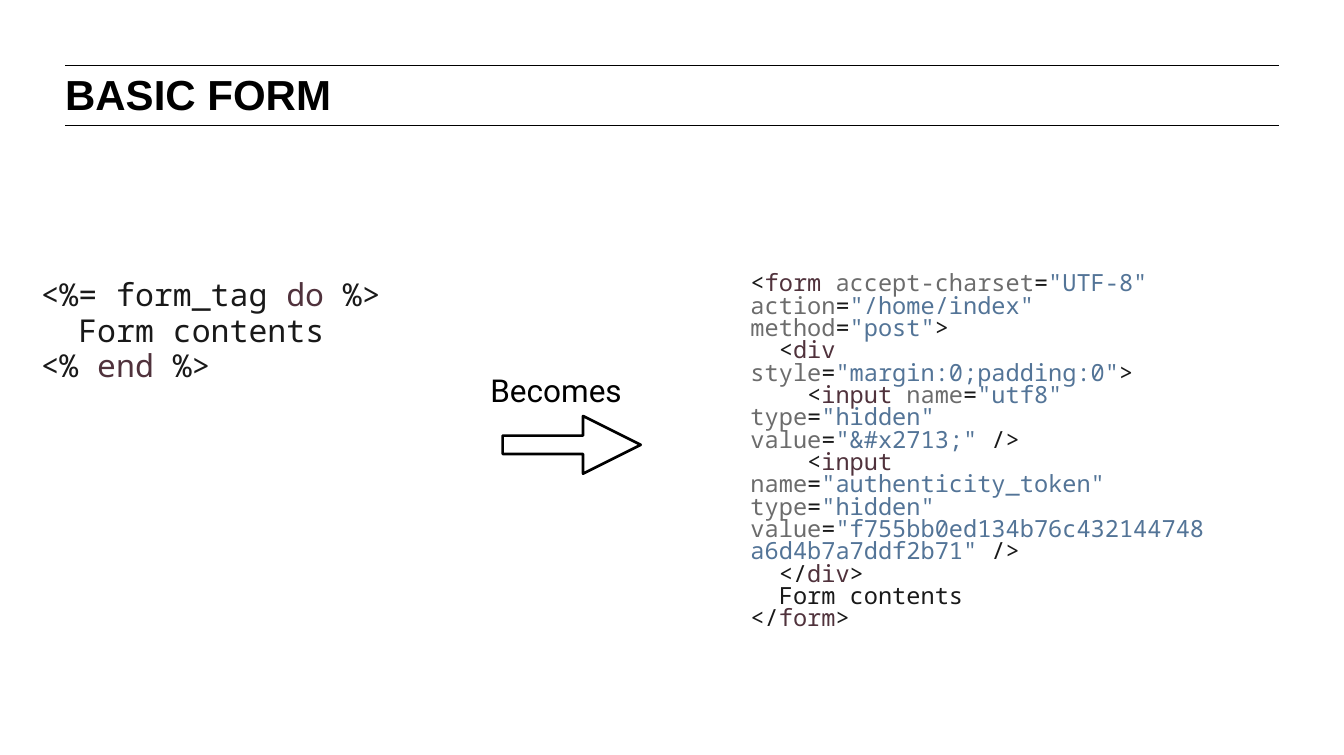
"""Build the "Basic form" slide: template code, an arrow and the markup it becomes."""
from lxml.etree import SubElement
from pptx import Presentation
from pptx.dml.color import RGBColor
from pptx.enum.shapes import MSO_CONNECTOR, MSO_SHAPE
from pptx.oxml.ns import qn
from pptx.util import Cm, Pt

COLORS = {
    "black": "000000",
    "plain": "191919",
    "keyword": "50323C",
    "attribute": "6C6C6C",
    "string": "537497",
}

TEMPLATE_CODE = [
    [("plain", "<%= form_tag "), ("keyword", "do "), ("plain", "%>")],
    [("plain", "  Form contents")],
    [("plain", "<% "), ("keyword", "end "), ("plain", "%>")],
]


def add_text(slide, position, lines, font_name, size, spacing=None, before=0, bold=False):
    """Add a text box whose lines are lists of (color, text) runs."""
    shape = slide.shapes.add_textbox(*(Cm(length) for length in position))
    frame = shape.text_frame
    frame.margin_left = frame.margin_right = frame.margin_top = frame.margin_bottom = 0
    frame.word_wrap = True
    for index, line in enumerate(lines):
        paragraph = frame.add_paragraph() if index else frame.paragraphs[0]
        if spacing:
            paragraph.line_spacing = Pt(spacing)
        paragraph.space_before = Pt(before if index else 0)
        paragraph.font.name = font_name
        paragraph.font.size = Pt(size)
        paragraph.font.bold = bold
        for color, text in line:
            run = paragraph.add_run()
            run.text = text
            run.font.color.rgb = RGBColor.from_string(COLORS[color])
    return shape


def tag_line(opening, name, attributes, closing):
    """Return the colored runs of one opening tag."""
    runs = [("plain", opening), ("keyword", name + " ")]
    for index, (attribute, value) in enumerate(attributes):
        gap = "" if closing == ">" and index == len(attributes) - 1 else " "
        runs += [("attribute", attribute), ("plain", "="), ("string", f'"{value}"{gap}')]
    return runs + [("plain", closing)]


MARKUP = [
    tag_line("<", "form", [("accept-charset", "UTF-8"), ("action", "/home/index"),
                           ("method", "post")], ">"),
    tag_line("  <", "div", [("style", "margin:0;padding:0")], ">"),
    tag_line("    <", "input", [("name", "utf8"), ("type", "hidden"),
                                ("value", "&#x2713;")], "/>"),
    tag_line("    <", "input", [("name", "authenticity_token"), ("type", "hidden"),
                                ("value", "f755bb0ed134b76c432144748a6d4b7a7ddf2b71")], "/>"),
    [("plain", "  </"), ("keyword", "div"), ("plain", ">")],
    [("plain", "  Form contents")],
    [("plain", "</"), ("keyword", "form"), ("plain", ">")],
]

presentation = Presentation()
presentation.slide_width = Cm(36.12)
presentation.slide_height = Cm(20.29)
slide = presentation.slides.add_slide(presentation.slide_layouts[6])

for rule_top in (1.75, 3.38):
    rule = slide.shapes.add_connector(
        MSO_CONNECTOR.STRAIGHT, Cm(1.75), Cm(rule_top), Cm(34.37), Cm(rule_top))
    rule.line.color.rgb = RGBColor.from_string(COLORS["black"])
    rule.line.width = Pt(0.5)
    SubElement(rule._element.spPr, qn("a:effectLst"))

add_text(slide, (1.75, 2.06, 21.44, 1.19), [[("black", "BASIC FORM")]],
         "Arial", 32, spacing=32, bold=True)
add_text(slide, (1.09, 7.82, 12.42, 10.59), TEMPLATE_CODE,
         "Noto Sans Mono", 24, spacing=17, before=10)
add_text(slide, (20.17, 7.37, 12.42, 10.59), MARKUP,
         "Noto Sans Mono", 18, spacing=17)
label = add_text(slide, (13.18, 9.96, 3.63, 1.02), [[("black", "Becomes")]], "Roboto", 24)
label.text_frame.word_wrap = False

arrow = slide.shapes.add_shape(
    MSO_SHAPE.RIGHT_ARROW, Cm(13.51), Cm(11.18), Cm(3.71), Cm(1.55))
arrow.adjustments[0] = 0.32
arrow.adjustments[1] = 1
arrow.shadow.inherit = False
arrow.fill.background()
arrow.line.color.rgb = RGBColor.from_string(COLORS["black"])
arrow.line.width = Pt(2)

presentation.save("out.pptx")
